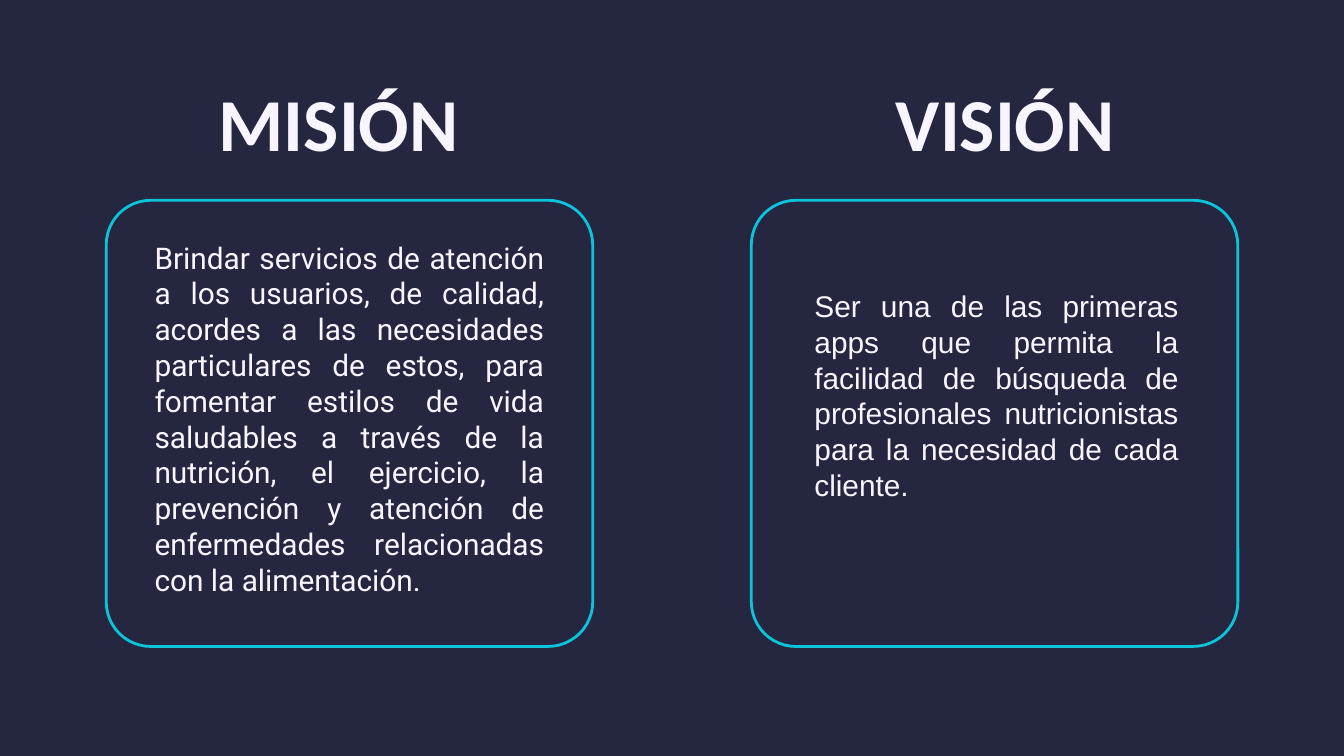
from lxml import etree
from pptx import Presentation
from pptx.dml.color import RGBColor
from pptx.enum.shapes import MSO_SHAPE
from pptx.enum.text import MSO_ANCHOR, MSO_AUTO_SIZE, PP_ALIGN
from pptx.oxml.ns import qn
from pptx.util import Inches, Pt

NAVY = RGBColor(0x25, 0x26, 0x40)
CYAN = RGBColor(0x0B, 0xC4, 0xD9)
LILAC_WHITE = RGBColor(0xF8, 0xF5, 0xFF)

ROUNDED = MSO_SHAPE.ROUNDED_RECTANGLE
MIDDLE, TOP = MSO_ANCHOR.MIDDLE, MSO_ANCHOR.TOP
NO_AUTOFIT = MSO_AUTO_SIZE.NONE
CENTER, JUSTIFY = PP_ALIGN.CENTER, PP_ALIGN.JUSTIFY

TWO_CONTENT_LAYOUT = 3
SLIDE_WIDTH = Inches(10)
SLIDE_HEIGHT = SLIDE_WIDTH * 9 // 16
FRAME_LEFTS = (0.79, 5.59)
FRAME_TOP, FRAME_WIDTH, FRAME_HEIGHT = 1.49, 3.62, 3.32
HEADING_TOP, HEADING_WIDTH, HEADING_HEIGHT = 0.59, 3.78, 0.63

MISSION = (
    "Brindar servicios de atención a los usuarios, de calidad, acordes a las "
    "necesidades particulares de estos, para fomentar estilos de vida saludables "
    "a través de la nutrición, el ejercicio, la prevención y atención de "
    "enfermedades relacionadas con la alimentación."
)
VISION = (
    "Ser una de las primeras apps que permita la facilidad de búsqueda de "
    "profesionales nutricionistas para la necesidad de cada cliente."
)


def place(shape, left, top, width, height):
    """Move and size a shape, in inches."""
    shape.left, shape.top = Inches(left), Inches(top)
    shape.width, shape.height = Inches(width), Inches(height)


def write(shape, text, alignment, anchor):
    """Put one paragraph in a shape and return it."""
    frame = shape.text_frame
    frame.text = text
    frame.word_wrap = True
    frame.auto_size = NO_AUTOFIT
    frame.vertical_anchor = anchor
    paragraph = frame.paragraphs[0]
    paragraph.alignment = alignment
    return paragraph


def set_font(paragraph, name, size, bold):
    """Set the font of a paragraph."""
    font = paragraph.font
    font.name, font.size, font.bold = name, Pt(size), bold
    font.color.rgb = LILAC_WHITE


def format_heading(shape, text, left):
    """Format a shape as a column heading."""
    place(shape, left, HEADING_TOP, HEADING_WIDTH, HEADING_HEIGHT)
    set_font(write(shape, text, CENTER, MIDDLE), "Calibri", 40, True)
    frame = shape.text_frame
    frame.margin_left = frame.margin_right = Inches(0.1)
    frame.margin_top = frame.margin_bottom = Inches(0.1)


def format_statement(shape, text, font_name, box):
    """Format a body placeholder as a justified statement without bullet."""
    place(shape, *box)
    paragraph = write(shape, text, JUSTIFY, TOP)
    paragraph.line_spacing = Pt(19.2)
    paragraph.space_before = Pt(0)
    paragraph.space_after = Pt(8)
    properties = paragraph._p.get_or_add_pPr()
    properties.set("marL", "0")
    properties.set("indent", "0")
    etree.SubElement(properties, qn("a:buNone"))
    set_font(paragraph, font_name, 16, False)


def add_frame(slide, left):
    """Add an outlined rounded frame."""
    frame = slide.shapes.add_shape(
        ROUNDED, Inches(left), Inches(FRAME_TOP), Inches(FRAME_WIDTH), Inches(FRAME_HEIGHT)
    )
    frame.adjustments[0] = 0.1
    frame.shadow.inherit = False
    frame.fill.background()
    frame.line.color.rgb = CYAN
    frame.line.width = Pt(1.5)


def main():
    """Build the mission and vision slide."""
    presentation = Presentation()
    presentation.slide_width, presentation.slide_height = SLIDE_WIDTH, SLIDE_HEIGHT
    slide = presentation.slides.add_slide(presentation.slide_layouts[TWO_CONTENT_LAYOUT])
    slide.background.fill.solid()
    slide.background.fill.fore_color.rgb = NAVY

    for left in FRAME_LEFTS:
        add_frame(slide, left)
    title, mission, vision = slide.placeholders
    format_heading(title, "MISIÓN", 0.63)
    format_heading(slide.shapes.add_textbox(0, 0, 0, 0), "VISIÓN", FRAME_LEFTS[1])
    format_statement(mission, MISSION, "Roboto", (1.05, 1.73, 3.1, 3.44))
    format_statement(vision, VISION, "Arial", (5.96, 2.09, 2.91, 2.37))

    presentation.save("out.pptx")


if __name__ == "__main__":
    main()
